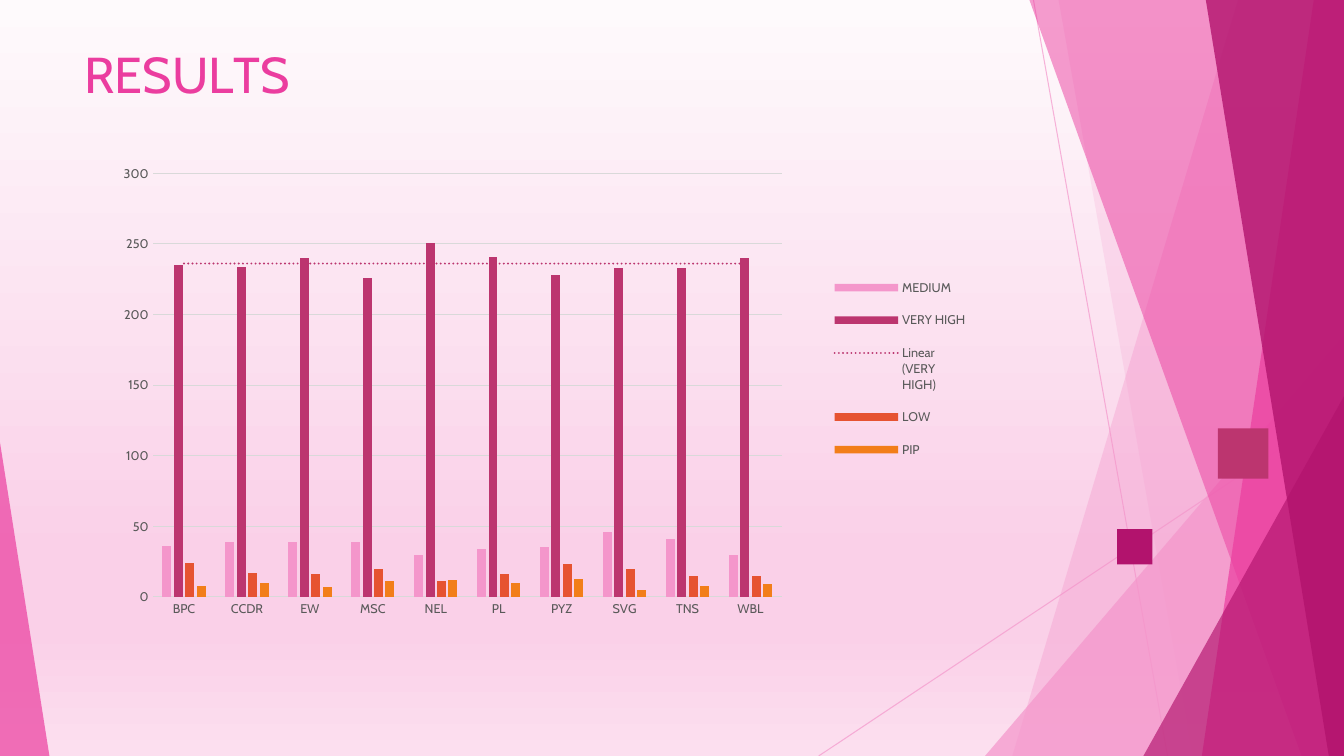
from dataclasses import dataclass

from lxml.etree import SubElement
from pptx import Presentation
from pptx.chart.data import CategoryChartData
from pptx.dml.color import RGBColor
from pptx.enum.chart import XL_CHART_TYPE as ChartType, XL_LEGEND_POSITION as LegendSide
from pptx.enum.chart import XL_TICK_MARK as TickMark
from pptx.enum.shapes import MSO_CONNECTOR as Connector, MSO_SHAPE as Shape
from pptx.enum.text import MSO_ANCHOR as Anchor, MSO_AUTO_SIZE as AutoSize, PP_ALIGN as Align
from pptx.oxml import parse_xml
from pptx.oxml.ns import nsdecls, qn
from pptx.util import Inches, Pt


@dataclass(frozen=True)
class Theme:
    font: str = "Cabin"
    pale: str = "F496CB"
    pink: str = "EB3D9F"
    deep: str = "B2136D"
    berry: str = "BC356F"
    red: str = "E65331"
    orange: str = "F27E19"
    label: str = "595959"
    grid: str = "D9D9D9"
    title_size: float = 36
    label_size: float = 9
    backdrop: tuple = ((0, "FEFAFC"), (74, "FAD0E8"), (83, "FAD0E8"), (100, "FCDFEF"))


@dataclass(frozen=True)
class Box:
    left: float
    top: float
    width: float
    height: float

    def emu(self):
        return [Inches(v) for v in (self.left, self.top, self.width, self.height)]

    def inner(self, left, top, width, height):
        return Box(self.left + left, self.top + top, width, height)


THEME = Theme()
PAGE = Box(0, 0, 13.33, 7.5)
CATEGORIES = ["BPC", "CCDR", "EW", "MSC", "NEL", "PL", "PYZ", "SVG", "TNS", "WBL"]
SERIES = [
    ("MEDIUM", THEME.pale, (36, 39, 39, 39, 30, 34, 35, 46, 41, 30)),
    ("VERY HIGH", THEME.berry, (235, 234, 240, 226, 251, 241, 228, 233, 233, 240)),
    ("LOW", THEME.red, (24, 17, 16, 20, 11, 16, 23, 20, 15, 15)),
    ("PIP", THEME.orange, (8, 10, 7, 11, 12, 10, 13, 5, 8, 9)),
]
TREND_SERIES = 1


def rgb(color):
    return RGBColor.from_string(color)


def apply(target, values):
    for name, value in values.items():
        setattr(target, name, value)


def set_opacity(shape, percent):
    color = shape.element.spPr.find(".//" + qn("a:srgbClr"))
    SubElement(color, qn("a:alpha"), val=str(percent * 1000))


def paint(shape, color, opacity=100):
    shape.shadow.inherit = False
    shape.fill.solid()
    shape.fill.fore_color.rgb = rgb(color)
    shape.line.fill.background()
    if opacity < 100:
        set_opacity(shape, opacity)


def add_backdrop(page):
    page.background.fill.gradient()
    page.background.fill.gradient_angle = 270
    stops = page.element.find(".//" + qn("a:gsLst"))
    stops.clear()
    for position, color in THEME.backdrop:
        stop = SubElement(stops, qn("a:gs"), pos=str(position * 1000))
        SubElement(stop, qn("a:srgbClr"), val=color)


def add_facets(page, box):
    def ray(start, end):
        ends = [Inches(v) for x, y in (start, end) for v in (box.left + x, box.top + y)]
        line = page.shapes.add_connector(Connector.STRAIGHT, *ends)
        apply(line.line, {"width": Pt(0.75)})
        line.line.color.rgb = rgb(THEME.pale)
        set_opacity(line, 70)
        SubElement(line.element.spPr, qn("a:effectLst"))

    def band(top_x, bottom_x, color, opacity):
        corners = [(top_x, 0), (box.width, 0), (box.width, box.height), (bottom_x, box.height)]
        points = [(Inches(box.left + x), Inches(box.top + y)) for x, y in corners]
        outline = page.shapes.build_freeform(*points[0], scale=1.0)
        outline.add_line_segments(points[1:], close=True)
        paint(outline.convert_to_shape(), color, opacity)

    def wedge(area, apex, color, opacity):
        shape = page.shapes.add_shape(Shape.ISOSCELES_TRIANGLE, *area.emu())
        shape.adjustments[0] = apex
        paint(shape, color, opacity)

    def corner_wedge(width, height, apex, color, opacity):
        left = (box.width - width) * apex
        wedge(box.inner(left, box.height - height, width, height), apex, color, opacity)

    ray((10.25, 0), (11.58, box.height))
    ray((box.width, 4.03), (8.12, box.height))
    band(12.28, 10.04, THEME.pale, 36)
    band(10.5, 11.83, THEME.pale, 20)
    corner_wedge(3.56, 4.17, 1, THEME.pale, 72)
    band(10.21, 12.91, THEME.pink, 50)
    band(13.03, 11.92, THEME.pink, 70)
    band(11.96, 13.18, THEME.deep, 80)
    corner_wedge(1.99, 3.57, 1, THEME.deep, 66)
    corner_wedge(0.49, 3.11, 0, THEME.pink, 70)


def add_squares(page, box):
    for left, top, side, color in ((1, 0, 0.5, THEME.berry), (0, 1, 0.35, THEME.deep)):
        area = box.inner(left, top, side, side)
        paint(page.shapes.add_shape(Shape.RECTANGLE, *area.emu()), color)


def add_title(page, box):
    title = page.shapes.title
    apply(title, dict(zip(("left", "top", "width", "height"), box.emu())))
    frame = title.text_frame
    apply(frame, {"margin_left": 0, "margin_top": Inches(0.01), "margin_right": 0,
                  "margin_bottom": 0, "vertical_anchor": Anchor.TOP, "word_wrap": True,
                  "auto_size": AutoSize.SHAPE_TO_FIT_TEXT})
    para = frame.paragraphs[0]
    apply(para, {"alignment": Align.LEFT, "space_before": Pt(1.1)})
    para._p.get_or_add_pPr().set("marL", str(Inches(0.01)))
    # Letters carry their own spacing, in hundredths of a point
    for letters, spacing in (("RE", -40), ("S", 10), ("U", -30), ("L", -400), ("TS", 0)):
        span = para.add_run()
        span.text = letters
        apply(span.font, {"name": THEME.font, "size": Pt(THEME.title_size)})
        span.font.color.rgb = rgb(THEME.pink)
        span.font._element.set("spc", str(spacing))


def manual_layout(left, top, width, height, target=""):
    return parse_xml(
        f'<c:layout {nsdecls("c")}><c:manualLayout>{target}'
        '<c:xMode val="edge"/><c:yMode val="edge"/>'
        f'<c:x val="{left}"/><c:y val="{top}"/><c:w val="{width}"/><c:h val="{height}"/>'
        '</c:manualLayout></c:layout>')


def add_trend(series, color):
    trend = parse_xml(
        f'<c:trendline {nsdecls("c", "a")}><c:spPr><a:ln w="{Pt(1.5)}" cap="rnd">'
        f'<a:solidFill><a:srgbClr val="{color}"/></a:solidFill><a:prstDash val="sysDot"/></a:ln>'
        '</c:spPr><c:trendlineType val="linear"/><c:dispRSqr val="0"/><c:dispEq val="0"/>'
        '</c:trendline>')
    series._element.find(qn("c:cat")).addprevious(trend)


def style_font(font):
    apply(font, {"name": THEME.font, "size": Pt(THEME.label_size), "bold": False})
    font.color.rgb = rgb(THEME.label)


def add_results_chart(page, box):
    data = CategoryChartData()
    data.categories = CATEGORIES
    for name, _, values in SERIES:
        data.add_series(name, values)
    chart = page.shapes.add_chart(ChartType.COLUMN_CLUSTERED, *box.emu(), data).chart
    apply(chart, {"has_title": False, "has_legend": True})
    style_font(chart.font)

    # Columns and trend
    plot = chart.plots[0]
    apply(plot, {"gap_width": 219, "overlap": -27, "vary_by_categories": False})
    for series, (_, color, _) in zip(plot.series, SERIES):
        series.format.fill.solid()
        series.format.fill.fore_color.rgb = rgb(color)
    add_trend(plot.series[TREND_SERIES], SERIES[TREND_SERIES][1])

    # Axes
    apply(chart.value_axis, {"minimum_scale": 0, "maximum_scale": 300, "major_unit": 50,
                             "has_major_gridlines": True})
    for axis in (chart.category_axis, chart.value_axis):
        apply(axis, {"major_tick_mark": TickMark.NONE, "minor_tick_mark": TickMark.NONE})
        style_font(axis.tick_labels.font)
    chart.value_axis.format.line.fill.background()
    for line in (chart.category_axis.format.line, chart.value_axis.major_gridlines.format.line):
        line.color.rgb = rgb(THEME.grid)
        line.width = Pt(0.75)

    # Legend and plot positions, as shares of the chart
    apply(chart.legend, {"position": LegendSide.RIGHT, "include_in_layout": False})
    style_font(chart.legend.font)
    inner = '<c:layoutTarget val="inner"/>'
    legend, area = chart.legend._element, plot._element.getparent()
    for parent in (legend, area):
        for layout in parent.findall(qn("c:layout")):
            parent.remove(layout)
    legend.find(qn("c:overlay")).addprevious(manual_layout(0.83, 0.22, 0.15, 0.45))
    area.insert(0, manual_layout(0.05, 0.03, 0.72, 0.9, inner))


def main():
    deck = Presentation()
    apply(deck, {"slide_width": Inches(PAGE.width), "slide_height": Inches(PAGE.height)})
    page = deck.slides.add_slide(deck.slide_layouts[5])
    add_backdrop(page)
    add_facets(page, PAGE)
    add_squares(page, Box(11.08, 4.25, 1.5, 1.35))
    add_title(page, Box(0.83, 0.42, 2.67, 0.83))
    add_results_chart(page, Box(1.08, 1.58, 8.67, 4.67))
    deck.save("out.pptx")


if __name__ == "__main__":
    main()
